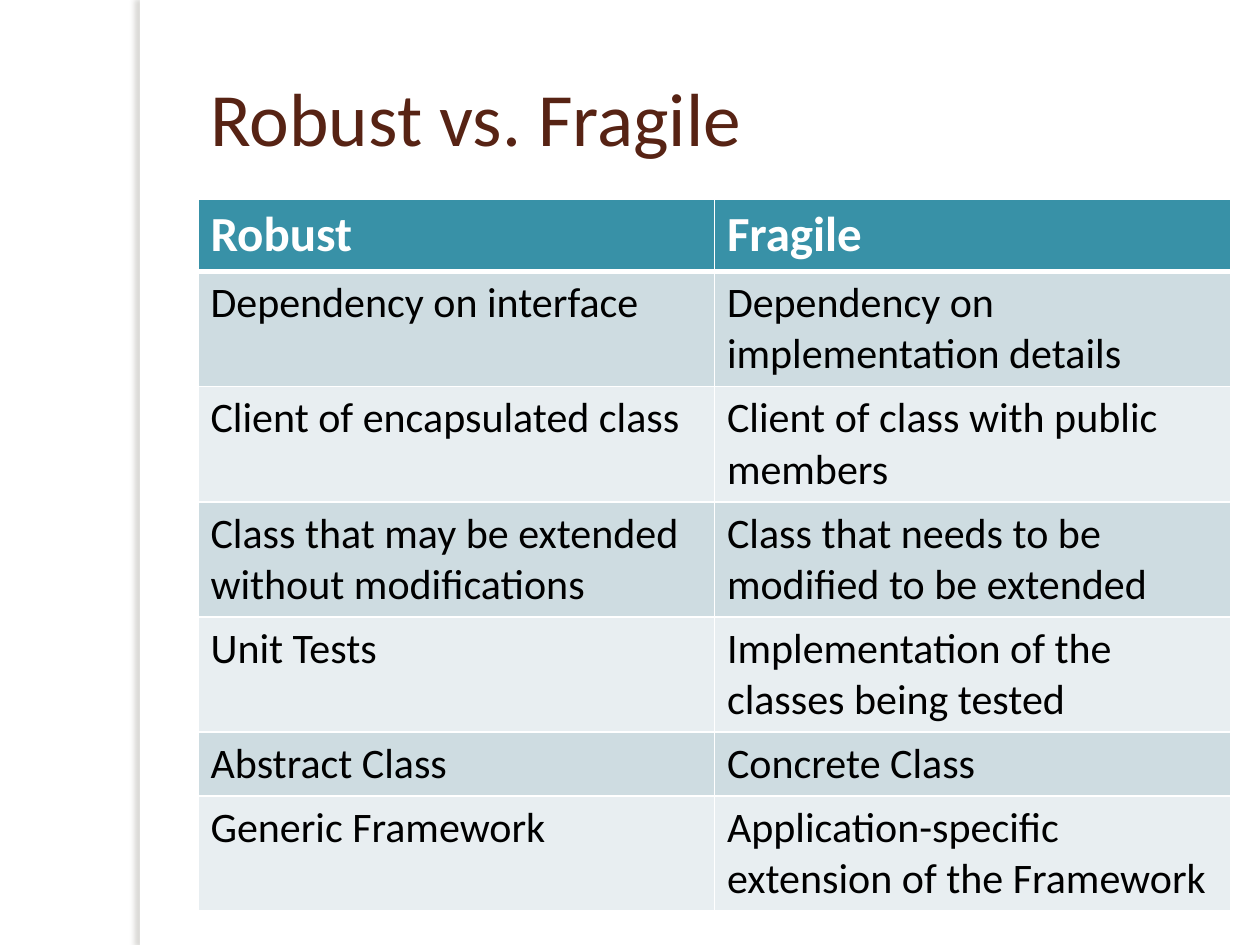
from lxml import etree
from pptx import Presentation
from pptx.dml.color import RGBColor
from pptx.enum import shapes, text
from pptx.oxml.ns import qn
from pptx.util import Emu, Pt

PX = 914400 // 126  # one pixel in EMU

TITLE = "Robust vs. Fragile"
ROWS = [
    ("Robust", "Fragile"),
    ("Dependency on interface", "Dependency on implementation details"),
    ("Client of encapsulated class", "Client of class with public members"),
    ("Class that may be extended without modifications",
     "Class that needs to be modified to be extended"),
    ("Unit Tests", "Implementation of the classes being tested"),
    ("Abstract Class", "Concrete Class"),
    ("Generic Framework", "Application-specific extension of the Framework"),
]

FONT = "Calibri"
WHITE = RGBColor(0xFF, 0xFF, 0xFF)
BLACK = RGBColor(0x00, 0x00, 0x00)
BROWN = RGBColor(0x57, 0x23, 0x14)
TEAL = RGBColor(0x38, 0x91, 0xA7)
BANDS = [RGBColor(0xCE, 0xDC, 0xE1), RGBColor(0xE8, 0xEE, 0xF1)]
SHADE = RGBColor(0x73, 0x6F, 0x63)

LEFT, WIDTH = 198, 1033
ROW_HEIGHT = 52  # minimum; rows grow with their text


def px(*lengths):
    return [Emu(length * PX) for length in lengths]


def write(frame, words, size, color, bold=False):
    paragraph = frame.paragraphs[0]
    paragraph.alignment = text.PP_ALIGN.LEFT
    run = paragraph.add_run()
    run.text = words
    run.font.name = FONT
    run.font.size = Pt(size)
    run.font.bold = bold
    run.font.color.rgb = color


def add_color(parent, color):
    fill = etree.SubElement(parent, qn("a:solidFill"))
    return etree.SubElement(fill, qn("a:srgbClr"), val=str(color))


def set_borders(cell, top, bottom):
    properties = cell._tc.get_or_add_tcPr()
    widths = {"lnL": 1, "lnR": 1, "lnT": top, "lnB": bottom}
    for position, (side, width) in enumerate(widths.items()):
        line = etree.Element(qn("a:" + side), w=str(Pt(width)))
        add_color(line, WHITE)
        properties.insert(position, line)


def cast_shadow(shape):
    shape.shadow.inherit = False
    effects = shape._element.spPr.find(qn("a:effectLst"))
    shadow = etree.SubElement(
        effects, qn("a:outerShdw"), blurRad=str(Pt(3)), dist=str(Pt(3)),
        dir=str(180 * 60000), algn="tl", rotWithShape="0")
    etree.SubElement(add_shadow_color(shadow), qn("a:alpha"), val="25000")


def add_shadow_color(shadow):
    return etree.SubElement(shadow, qn("a:srgbClr"), val=str(SHADE))


def main():
    deck = Presentation()
    deck.slide_width, deck.slide_height = px(1260, 945)
    slide = deck.slides.add_slide(deck.slide_layouts[5])

    # Margin strip with its shadow to the left
    strip = slide.shapes.add_shape(
        shapes.MSO_SHAPE.RECTANGLE, *px(140, 0, 10, 945))
    strip.fill.solid()
    strip.fill.fore_color.rgb = WHITE
    strip.line.fill.background()
    cast_shadow(strip)

    # Title
    title = slide.shapes.title
    title.left, title.top, title.width, title.height = px(LEFT, 38, WIDTH, 157)
    title.text_frame.vertical_anchor = text.MSO_ANCHOR.MIDDLE
    write(title.text_frame, TITLE, size=43, color=BROWN)

    # Comparison table
    holder = slide.shapes.add_table(
        len(ROWS), len(ROWS[0]), *px(LEFT, 199, WIDTH, 702))
    comparison = holder.table
    for r, row in enumerate(ROWS):
        header = r == 0
        comparison.rows[r].height = px(ROW_HEIGHT)[0]
        for c, words in enumerate(row):
            cell = comparison.cell(r, c)
            cell.fill.solid()
            cell.fill.fore_color.rgb = TEAL if header else BANDS[(r - 1) % 2]
            set_borders(cell, top=3 if r == 1 else 1, bottom=3 if header else 1)
            write(cell.text_frame, words, size=28 if header else 24,
                  color=WHITE if header else BLACK, bold=header)
    holder.height = px(702)[0]

    deck.save("out.pptx")


if __name__ == "__main__":
    main()
